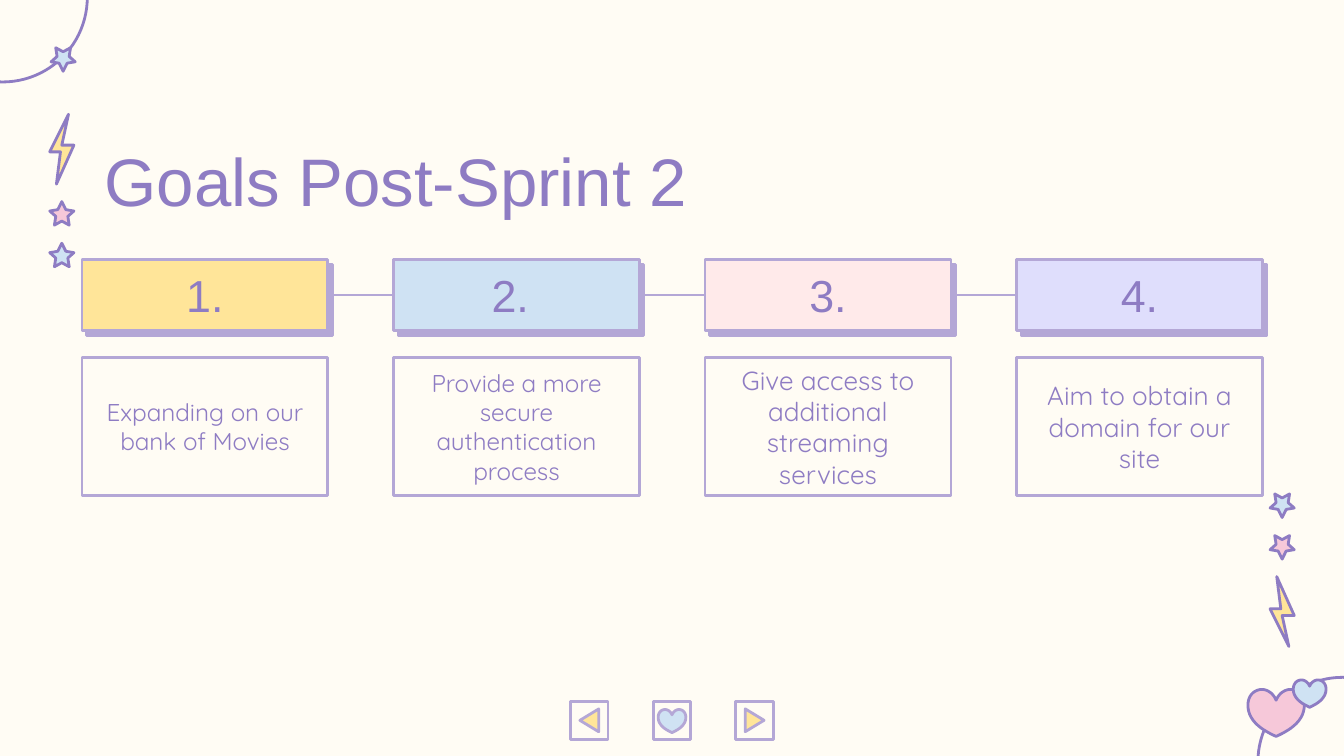
import pptx
import pptx.util
import pptx.dml.color
import pptx.enum.shapes
import pptx.enum.text
import pptx.oxml.ns
from lxml import etree

SHAPE = pptx.enum.shapes.MSO_SHAPE
ALIGN = pptx.enum.text.PP_ALIGN
ANCHOR = pptx.enum.text.MSO_ANCHOR
qn = pptx.oxml.ns.qn
rgb = pptx.dml.color.RGBColor.from_string

COLORS = {"cream": "FFFCF4", "purple": "8E7CC3", "lilac": "B4A7D6", "yellow": "FFE599",
          "blue": "CFE2F3", "pink": "F6C8D9", "blush": "FFEAEA", "lavender": "DFDEFC"}

prs = pptx.Presentation()
prs.slide_width = pptx.util.Inches(10)
prs.slide_height = prs.slide_width * 9 // 16
U = prs.slide_width // 100  # grid cell: 100 columns across the slide
s = prs.slides.add_slide(prs.slide_layouts[6])
s.background.fill.solid()
s.background.fill.fore_color.rgb = rgb(COLORS["cream"])


def add_preset(kind, x, y, w, h, fill, line):
    """Add a preset shape, placed in grid cells."""
    sp = s.shapes.add_shape(kind, *(int(v * U) for v in (x, y, w, h)))
    return paint(sp, fill, line)


def paint(sp, fill, line):
    """Give a shape its fill and outline, without a theme shadow."""
    sp.shadow.inherit = False
    if fill:
        sp.fill.solid()
        sp.fill.fore_color.rgb = rgb(COLORS[fill])
    else:
        sp.fill.background()
    sp.line.color.rgb = rgb(COLORS[line])
    sp.line.width = pptx.util.Pt(1.5)
    return sp


# Outlines of the ornaments, in grid cells
BOLT = [(1.4, 0), (0, 2.8), (0.8, 2.8), (0.5, 5.2), (1.8, 2.3), (0.9, 2.3)]
STAR = [(0.9, 0), (0.6, 0.6), (0, 0.7), (0.45, 1.1), (0.35, 1.75),
        (0.9, 1.45), (1.45, 1.75), (1.35, 1.1), (1.8, 0.7), (1.2, 0.6)]
HEART_W = 4.3
HEART_CURVES = [[(2.15, 0.8), (1.9, 0.2), (1.4, 0), (1.1, 0)],
                [(1.1, 0), (0.5, 0), (0, 0.5), (0.05, 1.3)],
                [(0.05, 1.3), (0.15, 2.5), (1.3, 3.1), (2.15, 3.5)]]
left_half = []
for curve in HEART_CURVES:
    for step in range(12):
        t = step / 12
        weights = ((1 - t) ** 3, 3 * t * (1 - t) ** 2, 3 * t * t * (1 - t), t ** 3)
        left_half.append(tuple(sum(k * pt[axis] for k, pt in zip(weights, curve))
                               for axis in (0, 1)))
HEART = left_half + [(2.15, 3.5)] + [(HEART_W - x, y) for x, y in left_half[:0:-1]]

# Corner circles
for x, y in ((93.6, 50.4), (-6.1, -6.5)):
    add_preset(SHAPE.OVAL, x, y, 12.6, 12.6, None, "purple")

# Navigation buttons
BUTTON = 2.8
for i in range(3):
    x = 50 + (i - 1) * 6.15
    add_preset(SHAPE.RECTANGLE, x - BUTTON / 2, 52.2, BUTTON, BUTTON, "cream", "lilac")
    if i != 1:
        arrow = add_preset(SHAPE.ISOSCELES_TRIANGLE, x - 0.85, 52.9, 1.7, 1.4,
                           "yellow", "lilac")
        arrow.rotation = 90 if i else 270

# Ornaments: outline, left, top, scale, vertical direction, fill, line
ornaments = [
    (HEART, 92.8, 51.3, 1, 1, "pink", "purple"),
    (HEART, 96.2, 50.6, 0.58, 1, "blue", "purple"),
    (HEART, 48.95, 52.8, 0.49, 1, "blue", "lilac"),
    (BOLT, 94.5, 48.1, 1, -1, "yellow", "purple"),
    (STAR, 94.5, 41.6, 1, -1, "pink", "purple"),
    (STAR, 94.5, 38.5, 1, -1, "blue", "purple"),
    (BOLT, 3.7, 8.5, 1, 1, "yellow", "purple"),
    (STAR, 3.7, 15, 1, 1, "pink", "purple"),
    (STAR, 3.7, 18.1, 1, 1, "blue", "purple"),
    (STAR, 3.8, 5.3, 1, -1, "blue", "purple"),
]
for outline, x, y, scale, direction, fill, line in ornaments:
    points = [(int((x + px * scale) * U), int((y + py * scale * direction) * U))
              for px, py in outline]
    builder = s.shapes.build_freeform(*points[0])
    builder.add_line_segments(points[1:], close=True)
    paint(builder.convert_to_shape(), fill, line)

# Title
title = s.shapes.add_textbox(*(int(v * U) for v in (6.8, 8.8, 84.3, 6.3)))
tf = title.text_frame
tf.word_wrap = True
tf.margin_top = int(1.55 * U)
r = tf.paragraphs[0].add_run()
r.text = "Goals Post-Sprint 2"
r.font.size = pptx.util.Pt(36)
r.font.name = "Arial"
r.font.color.rgb = rgb(COLORS["purple"])

# Goal columns
LEFT, PITCH, CARD_W = 6.1, 23.18, 18.3
HEAD_Y, HEAD_H, BODY_Y, BODY_H = 19.3, 5.3, 26.6, 10.3
goals = [
    ("1.", "yellow", "Expanding on our bank of Movies", 13),
    ("2. ", "blue", "Provide a more secure authentication process", 13),
    ("3.", "blush", "Give access to additional streaming services", 14),
    ("4.", "lavender", "Aim to obtain a domain for our site", 14),
]
for i, (number, color, goal, size) in enumerate(goals):
    x = LEFT + i * PITCH
    body = add_preset(SHAPE.RECTANGLE, x, BODY_Y, CARD_W, BODY_H, "cream", "lilac")
    head = add_preset(SHAPE.RECTANGLE, x, HEAD_Y, CARD_W, HEAD_H, color, "lilac")

    # Solid offset shadow under the number
    effects = head._element.spPr.find(qn("a:effectLst"))
    shadow = etree.SubElement(effects, qn("a:outerShdw"), blurRad="0", dist="47625",
                              dir="3000000", algn="bl", rotWithShape="0")
    etree.SubElement(shadow, qn("a:srgbClr"), val=COLORS["lilac"])

    for sp, text, font, pt in ((body, goal, "Quicksand", size), (head, number, "Arial", 24)):
        tf = sp.text_frame
        tf.word_wrap = True
        tf.vertical_anchor = ANCHOR.MIDDLE
        tf.margin_left = tf.margin_right = tf.margin_top = tf.margin_bottom = U
        p = tf.paragraphs[0]
        p.alignment = ALIGN.CENTER
        r = p.add_run()
        r.text = text
        r.font.size = pptx.util.Pt(pt)
        r.font.name = font
        r.font.color.rgb = rgb(COLORS["purple"])

# Links between the numbers
link_y = int((HEAD_Y + HEAD_H / 2) * U)
for i in range(len(goals) - 1):
    x = LEFT + i * PITCH
    link = s.shapes.add_connector(pptx.enum.shapes.MSO_CONNECTOR.STRAIGHT,
                                  int((x + CARD_W) * U), link_y, int((x + PITCH) * U), link_y)
    link.line.color.rgb = rgb(COLORS["lilac"])
    link.line.width = pptx.util.Pt(1.5)
    etree.SubElement(link._element.spPr, qn("a:effectLst"))

prs.save("out.pptx")
